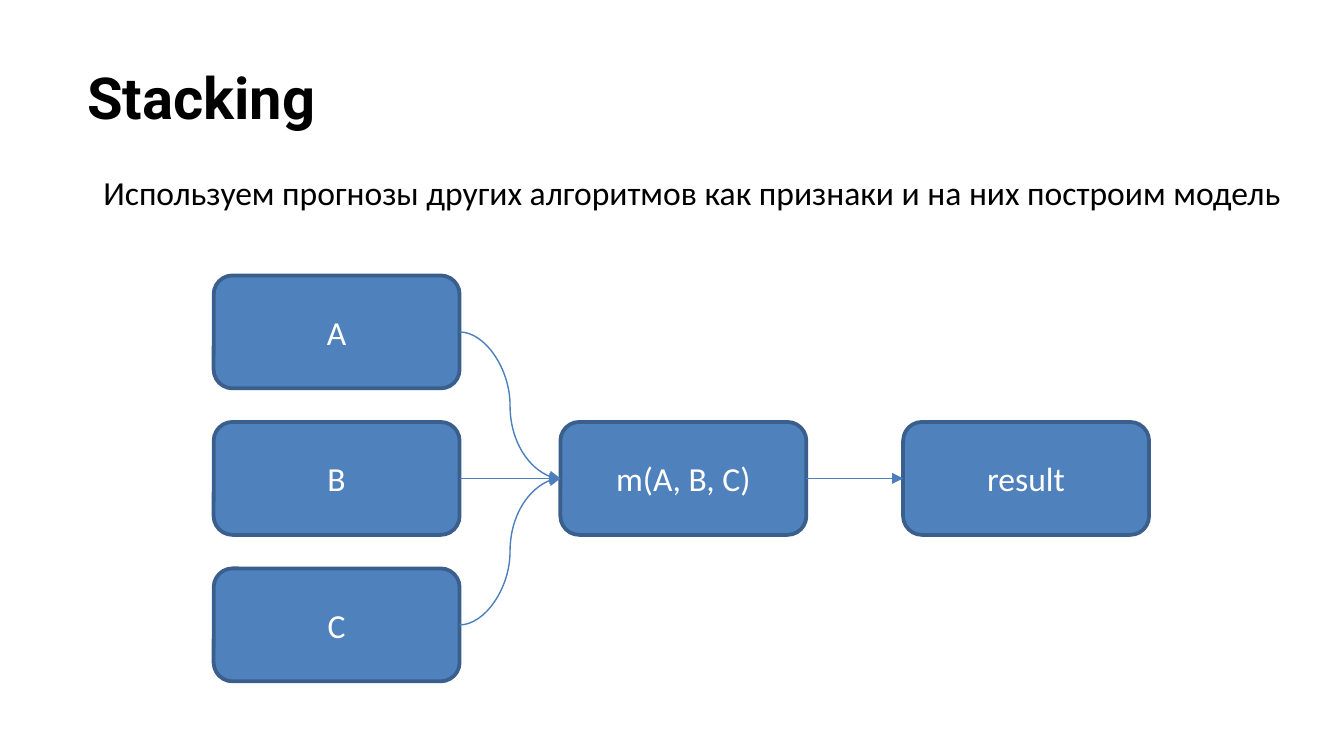
"""Build a slide that shows how stacking feeds model forecasts into a final model."""
from typing import NamedTuple

from lxml import etree
from pptx import Presentation
from pptx.dml.color import RGBColor
from pptx.enum.shapes import MSO_CONNECTOR, MSO_SHAPE
from pptx.enum.text import MSO_ANCHOR, MSO_AUTO_SIZE, PP_ALIGN
from pptx.oxml.ns import qn
from pptx.util import Inches, Pt

ROUNDED = MSO_SHAPE.ROUNDED_RECTANGLE
STRAIGHT, CURVE = MSO_CONNECTOR.STRAIGHT, MSO_CONNECTOR.CURVE
TOP, MIDDLE = MSO_ANCHOR.TOP, MSO_ANCHOR.MIDDLE
LEFT, CENTER = PP_ALIGN.LEFT, PP_ALIGN.CENTER
GROW = MSO_AUTO_SIZE.SHAPE_TO_FIT_TEXT
LEFT_SIDE, RIGHT_SIDE = 1, 3

BLACK = RGBColor(0x00, 0x00, 0x00)
WHITE = RGBColor(0xFF, 0xFF, 0xFF)
BOX_FILL = RGBColor(0x4F, 0x81, 0xBD)
BOX_LINE = RGBColor(0x3A, 0x5F, 0x8C)
ARROW = RGBColor(0x4B, 0x7E, 0xBC)

SLIDE_W = Inches(10)
SLIDE_H = SLIDE_W * 9 // 16
COLUMNS = (1.59, 4.17, 6.72)
TOP_ROW, ROW_STEP = 2.05, 1.09
BOX_W, BOX_H = 1.83, 0.84

TITLE_FONT = {"name": "Roboto", "size": Pt(31), "bold": True}
BODY_FONT = {"name": "Calibri", "size": Pt(18), "bold": False}


class Box(NamedTuple):
    """A labelled box at a grid column and row."""
    label: str
    column: int
    row: int


class Link(NamedTuple):
    """An arrow from one box to another, named by label."""
    start: str
    end: str
    kind: MSO_CONNECTOR = STRAIGHT


BOXES = (
    Box("A", 0, 0),
    Box("B", 0, 1),
    Box("C", 0, 2),
    Box("m(A, B, C)", 1, 1),
    Box("result", 2, 1),
)
LINKS = (
    Link("A", "m(A, B, C)", CURVE),
    Link("C", "m(A, B, C)", CURVE),
    Link("B", "m(A, B, C)"),
    Link("m(A, B, C)", "result"),
)


def write(sp, text: str, font: dict, color: RGBColor, align=LEFT, anchor=TOP) -> None:
    """Write one formatted line of text into a shape."""
    tf = sp.text_frame
    tf.vertical_anchor = anchor
    p = tf.paragraphs[0]
    p.alignment = align
    r = p.add_run()
    r.text = text
    for name, value in font.items():
        setattr(r.font, name, value)
    r.font.color.rgb = color


def draw_box(s, box: Box):
    """Draw a rounded box in its grid cell."""
    sp = s.shapes.add_shape(
        ROUNDED, Inches(COLUMNS[box.column]), Inches(TOP_ROW + box.row * ROW_STEP),
        Inches(BOX_W), Inches(BOX_H))
    sp.shadow.inherit = False
    sp.fill.solid()
    sp.fill.fore_color.rgb = BOX_FILL
    sp.line.color.rgb = BOX_LINE
    sp.line.width = Pt(2)
    write(sp, box.label, BODY_FONT, WHITE, CENTER, MIDDLE)
    return sp


def draw_link(s, start, end, kind: MSO_CONNECTOR) -> None:
    """Join the right side of one box to the left side of another."""
    sp = s.shapes.add_connector(kind, 0, 0, 0, 0)
    sp.begin_connect(start, RIGHT_SIDE)
    sp.end_connect(end, LEFT_SIDE)
    sp.line.color.rgb = ARROW
    sp.line.width = Pt(0.75)
    properties = sp._element.spPr
    etree.SubElement(properties.find(qn("a:ln")), qn("a:tailEnd"), type="triangle")
    etree.SubElement(properties, qn("a:effectLst"))


def main() -> None:
    """Build and save the slide."""
    prs = Presentation()
    prs.slide_width, prs.slide_height = SLIDE_W, SLIDE_H
    s = prs.slides.add_slide(prs.slide_layouts[5])

    title = s.shapes.title
    title.left, title.top = Inches(0.55), Inches(0.36)
    title.width, title.height = Inches(9.32), Inches(1.2)
    for side in ("left", "top", "right", "bottom"):
        setattr(title.text_frame, f"margin_{side}", Inches(0.1))
    write(title, "Stacking", TITLE_FONT, BLACK)

    drawn = {box.label: draw_box(s, box) for box in BOXES}
    for link in LINKS:
        draw_link(s, drawn[link.start], drawn[link.end], link.kind)

    caption = s.shapes.add_textbox(Inches(0.67), Inches(1.23), Inches(9.01), Inches(0.4))
    caption.text_frame.word_wrap = False
    caption.text_frame.auto_size = GROW
    write(caption, "Используем прогнозы других алгоритмов как признаки и на них построим модель",
          BODY_FONT, BLACK)

    prs.save("out.pptx")


if __name__ == "__main__":
    main()
